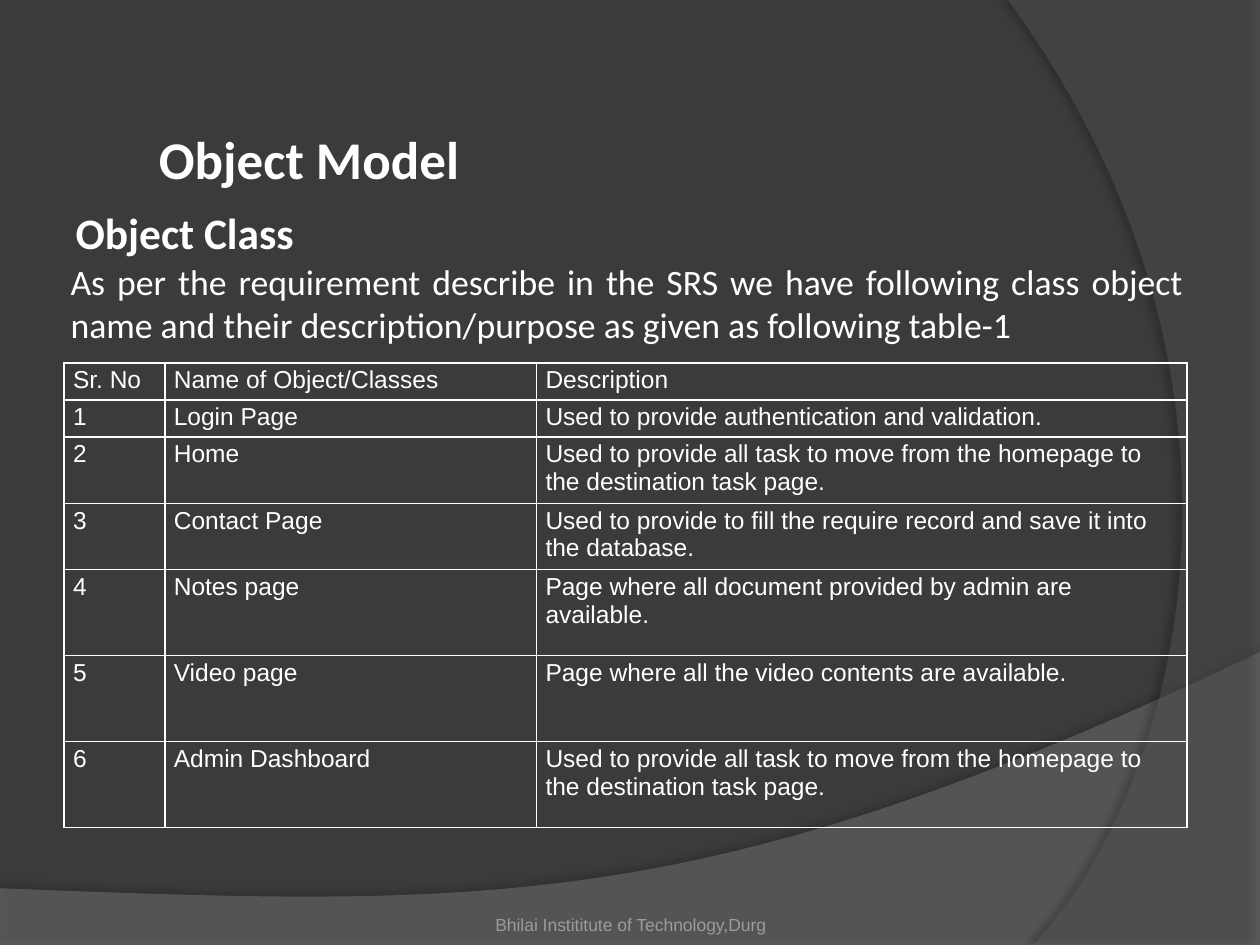
from lxml import etree
from pptx import Presentation
from pptx import util as u
from pptx.dml.color import RGBColor
from pptx.enum import text
from pptx.oxml import ns

WIDTH, HEIGHT = u.Inches(10), u.Inches(7.5)
BACKGROUND = RGBColor(0x3B, 0x3B, 0x3B)
LOWER_WAVE = RGBColor(0x7F, 0x7F, 0x7F)
SIDE_WAVE = RGBColor(0x5E, 0x5E, 0x5E)
WHITE = RGBColor(0xFF, 0xFF, 0xFF)
FOOTER_GRAY = RGBColor(0x9D, 0x9B, 0x9A)
BLACK = RGBColor(0, 0, 0)

COLUMN_SHARES = (0.08, 0.295, 0.516)
ROW_SHARES = (0.038, 0.038, 0.067, 0.067, 0.091, 0.091, 0.091)
CLASSES = [
    ("Sr. No", "Name of Object/Classes", "Description"),
    ("1", "Login Page", "Used to provide authentication and validation."),
    ("2", "Home", "Used to provide all task to move from the homepage to the destination task page."),
    ("3", "Contact Page", "Used to provide to fill the require record and save it into the database."),
    ("4", "Notes page", "Page where all document provided by admin are available."),
    ("5", "Video page", "Page where all the video contents are available."),
    ("6", "Admin Dashboard", "Used to provide all task to move from the homepage to the destination task page."),
]


def across(share):
    return round(WIDTH * share)


def down(share):
    return round(HEIGHT * share)


def sub(parent, tag, **attributes):
    return etree.SubElement(parent, ns.qn(tag), attributes)


def add_color(parent, color, opacity):
    tone = sub(parent, "a:srgbClr", val=str(color))
    sub(tone, "a:alpha", val=str(opacity * 1000))


def curve(start, control_1, control_2, end, steps=60):
    points = []
    for step in range(steps + 1):
        t = step / steps
        weights = ((1 - t) ** 3, 3 * t * (1 - t) ** 2, 3 * t**2 * (1 - t), t**3)
        points.append(tuple(
            sum(weight * value for weight, value in zip(weights, axis))
            for axis in zip(start, control_1, control_2, end)
        ))
    return points


def add_wave(slide, edge, corners, color, opacity, shadow_opacity, distance, direction):
    points = [(across(x), down(y)) for x, y in edge + corners]
    builder = slide.shapes.build_freeform(*points[0])
    builder.add_line_segments(points[1:], close=True)
    wave = builder.convert_to_shape()
    wave.shadow.inherit = False
    wave.fill.solid()
    wave.fill.fore_color.rgb = color
    wave.line.fill.background()
    properties = wave.element.spPr
    tone = properties.find(ns.qn("a:solidFill")).find(ns.qn("a:srgbClr"))
    sub(tone, "a:alpha", val=str(opacity * 1000))
    shadow = sub(
        properties.find(ns.qn("a:effectLst")), "a:outerShdw",
        blurRad=str(u.Pt(4)), dist=str(u.Pt(distance)),
        dir=str(direction * 60000), algn="ctr", rotWithShape="0",
    )
    add_color(shadow, BLACK, shadow_opacity)


def style_font(font, name, size, color, bold=False):
    font.name, font.size, font.bold = name, u.Pt(size), bold
    font.color.rgb = color


def add_text(slide, wording, left, top, width, height, size, name="Calibri", color=WHITE,
             bold=False, align=text.PP_ALIGN.LEFT, anchor=text.MSO_ANCHOR.TOP,
             insets=(0.09, 0.09)):
    box = slide.shapes.add_textbox(across(left), down(top), across(width), down(height))
    frame = box.text_frame
    frame.word_wrap = True
    frame.vertical_anchor = anchor
    frame.margin_left, frame.margin_right = map(u.Inches, insets)
    frame.margin_top = frame.margin_bottom = u.Inches(0.05)
    paragraph = frame.paragraphs[0]
    paragraph.text = wording
    paragraph.alignment = align
    style_font(paragraph.font, name, size, color, bold)


def add_borders(cell):
    properties = cell._tc.get_or_add_tcPr()
    for place, side in enumerate(("a:lnL", "a:lnR", "a:lnT", "a:lnB")):
        border = etree.Element(ns.qn(side), w=str(u.Pt(1)))
        sub(sub(border, "a:solidFill"), "a:srgbClr", val=str(WHITE))
        properties.insert(place, border)


def fill_cell(cell, wording):
    cell.fill.background()
    cell.margin_left = cell.margin_right = u.Inches(0.07)
    cell.margin_top = cell.margin_bottom = u.Inches(0.03)
    cell.text = wording
    style_font(cell.text_frame.paragraphs[0].font, "Arial", 14, WHITE)
    add_borders(cell)


def add_class_table(slide, left, top):
    table = slide.shapes.add_table(
        len(ROW_SHARES), len(COLUMN_SHARES), across(left), down(top),
        across(sum(COLUMN_SHARES)), down(sum(ROW_SHARES)),
    ).table
    table.first_row = table.horz_banding = False
    for column, share in zip(table.columns, COLUMN_SHARES):
        column.width = across(share)
    for row, share, wordings in zip(table.rows, ROW_SHARES, CLASSES):
        row.height = down(share)
        for cell, wording in zip(row.cells, wordings):
            fill_cell(cell, wording)


def main():
    deck = Presentation()
    deck.slide_width, deck.slide_height = WIDTH, HEIGHT
    slide = deck.slides.add_slide(deck.slide_layouts[6])
    slide.background.fill.solid()
    slide.background.fill.fore_color.rgb = BACKGROUND

    add_wave(slide, curve((1, 0.69), (0.56, 0.97), (0.39, 0.96), (0, 0.94)),
             [(0, 1), (1, 1)], LOWER_WAVE, 45, 35, 3.5, 270)
    add_wave(slide, curve((0.82, 1), (0.94, 0.83), (1.02, 0.4), (0.8, 0)),
             [(1, 0), (1, 1)], SIDE_WAVE, 40, 45, 4, 180)

    add_text(slide, "Object Class", 0.047, 0.208, 0.343, 0.076, 24.8, bold=True,
             anchor=text.MSO_ANCHOR.MIDDLE, insets=(0.13, 0.05))
    add_class_table(slide, 0.051, 0.384)
    add_text(slide, "As per the requirement describe in the SRS we have following class object "
             "name and their description/purpose as given as following table-1",
             0.047, 0.268, 0.901, 0.087, 20.4, align=text.PP_ALIGN.JUSTIFY)
    add_text(slide, "Bhilai Instititute of Technology,Durg", 0.342, 0.943, 0.317, 0.053, 10,
             name="Arial", color=FOOTER_GRAY, align=text.PP_ALIGN.CENTER,
             anchor=text.MSO_ANCHOR.BOTTOM, insets=(0, 0))
    add_text(slide, "Object Model", 0.033, 0.132, 0.406, 0.076, 30.3, bold=True,
             align=text.PP_ALIGN.CENTER, anchor=text.MSO_ANCHOR.BOTTOM, insets=(0.28, 0.09))
    deck.save("out.pptx")


if __name__ == "__main__":
    main()
